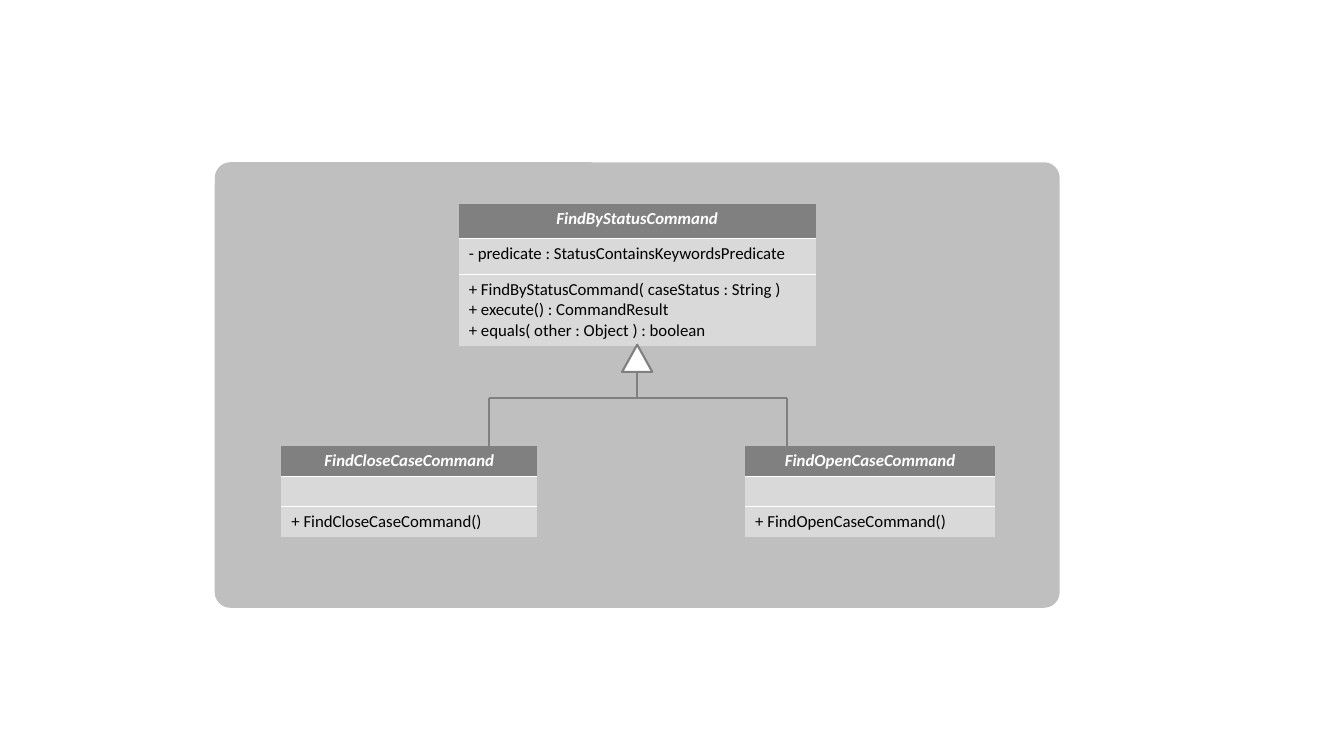
from lxml.etree import SubElement
from pptx import Presentation
from pptx.dml.color import RGBColor
from pptx.enum.shapes import MSO_CONNECTOR as CONN, MSO_SHAPE as SHAPE
from pptx.enum.text import PP_ALIGN as ALIGN
from pptx.oxml.ns import qn
from pptx.util import Inches, Pt

COLORS = {"panel": "BFBFBF", "header": "808080", "body": "D9D9D9",
          "line": "808080", "white": "FFFFFF", "text": "000000"}
FONT, SIZE = "Calibri", 12


def rgb(name):
    return RGBColor.from_string(COLORS[name])


def add_shape(s, kind, box, fill, line=None):
    sp = s.shapes.add_shape(kind, *map(Inches, box))
    sp.shadow.inherit = False
    sp.fill.solid()
    sp.fill.fore_color.rgb = rgb(fill)
    if line:
        sp.line.color.rgb = rgb(line)
        sp.line.width = Pt(1.5)
    else:
        sp.line.fill.background()
    return sp


def add_line(s, start, end):
    c = s.shapes.add_connector(CONN.STRAIGHT, *map(Inches, start + end))
    c.line.color.rgb = rgb("line")
    c.line.width = Pt(1.5)
    SubElement(c._element.spPr, qn("a:effectLst"))
    return c


def set_borders(cell, top, bottom):
    tcPr = cell._tc.get_or_add_tcPr()
    for side, shown in (("L", False), ("R", False), ("T", top), ("B", bottom)):
        ln = SubElement(tcPr, qn(f"a:ln{side}"), w=str(Pt(1)))
        if shown:
            fill = SubElement(ln, qn("a:solidFill"))
            SubElement(fill, qn("a:srgbClr"), val=COLORS["white"])
        else:
            SubElement(ln, qn("a:noFill"))


def fill_cell(cell, text, is_header):
    cell.fill.solid()
    cell.fill.fore_color.rgb = rgb("header" if is_header else "body")
    cell.text_frame.text = text
    for p in cell.text_frame.paragraphs:
        p.alignment = ALIGN.CENTER if is_header else ALIGN.LEFT
        for r in p.runs:
            r.font.name = FONT
            r.font.size = Pt(SIZE)
            r.font.bold = r.font.italic = is_header
            r.font.color.rgb = rgb("white" if is_header else "text")
        if not p.runs:
            SubElement(p._p, qn("a:endParaRPr"), sz=str(SIZE * 100))


def add_class(s, left, top, width, rows, sections):
    frame = s.shapes.add_table(len(rows), 1, *map(Inches, (left, top, width, sum(rows))))
    table = frame.table
    last = len(rows) - 1
    for i, (height, text) in enumerate(zip(rows, sections)):
        table.rows[i].height = Inches(height)
        cell = table.cell(i, 0)
        set_borders(cell, i > 0, i < last)
        fill_cell(cell, text, i == 0)


def add_inheritance(s, apex, bar_y, child_xs, child_y):
    x, y = apex
    for child_x in child_xs:
        add_line(s, (child_x, child_y), (child_x, bar_y))
    add_line(s, (child_xs[-1], bar_y), (child_xs[0], bar_y))
    stem = add_line(s, (x, bar_y), apex)
    head = add_shape(s, SHAPE.ISOSCELES_TRIANGLE, (x - 0.15, y, 0.3, 0.27), "white", "line")
    stem.end_connect(head, 0)


def class_diagram(s, left, top, width, height):
    panel = add_shape(s, SHAPE.ROUNDED_RECTANGLE, (left, top, width, height), "panel")
    panel.adjustments[0] = 0.035
    center = left + width / 2
    child_y = top + 2.81
    add_class(s, center - 1.77, top + 0.41, 3.54, (0.35, 0.35, 0.7), (
        "FindByStatusCommand",
        "- predicate : StatusContainsKeywordsPredicate",
        "+ FindByStatusCommand( caseStatus : String )\n"
        "+ execute() : CommandResult\n"
        "+ equals( other : Object ) : boolean"))
    for offset, child_width, name in ((0.66, 2.54, "FindCloseCaseCommand"),
                                      (5.26, 2.48, "FindOpenCaseCommand")):
        add_class(s, left + offset, child_y, child_width, (0.3,) * 3,
                  (name, "", f"+ {name}()"))
    add_inheritance(s, (center, top + 1.81), top + 2.34,
                    (left + 2.72, left + 5.68), child_y)


def main():
    prs = Presentation()
    prs.slide_width, prs.slide_height = Inches(13.33), Inches(7.5)
    s = prs.slides.add_slide(prs.slide_layouts[6])
    class_diagram(s, 2.13, 1.61, 8.38, 4.42)
    prs.save("out.pptx")


if __name__ == "__main__":
    main()
